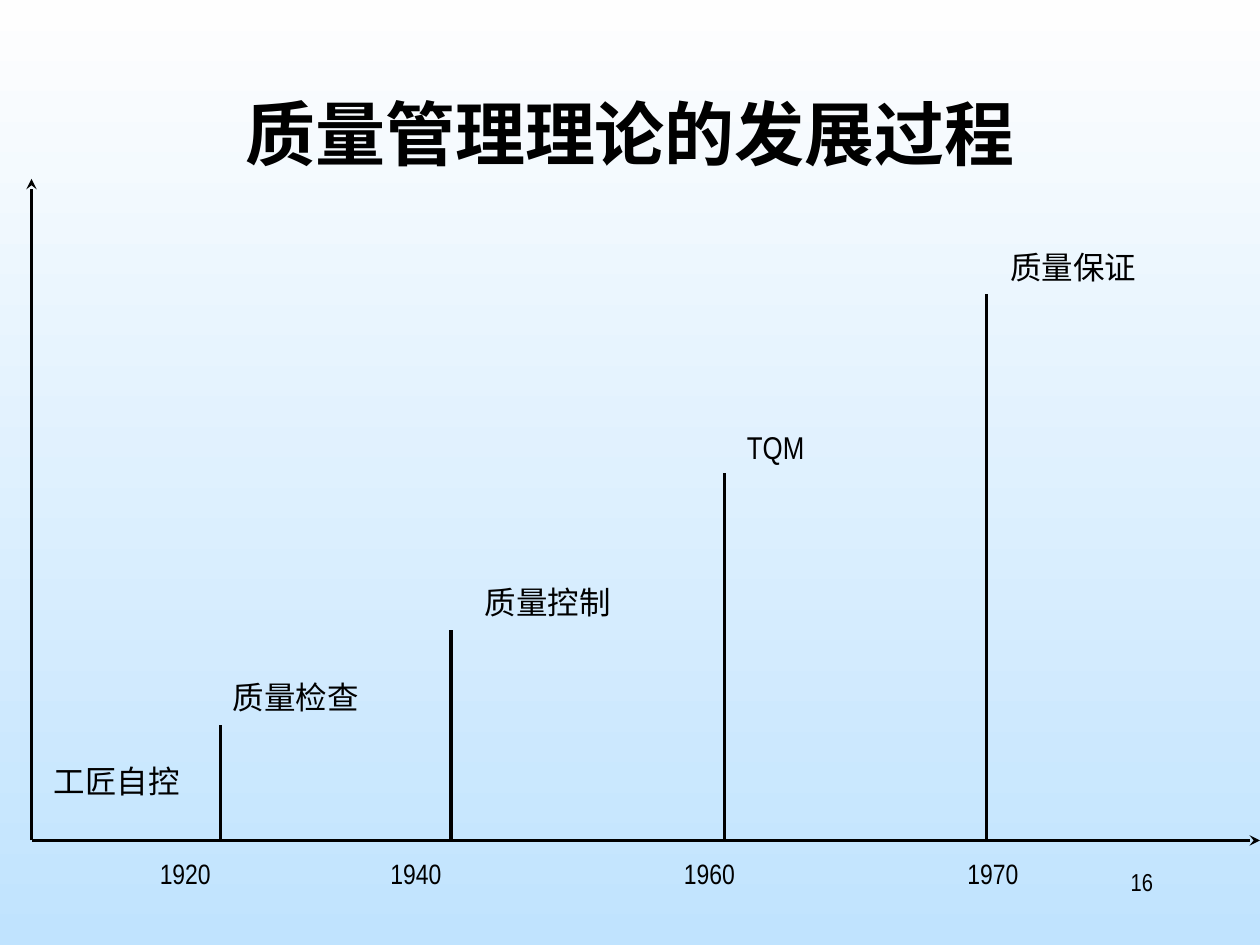
import pptx
import pptx.util
import pptx.dml.color
import pptx.enum.shapes
import pptx.enum.text
import pptx.oxml
import pptx.oxml.ns
from pptx.util import Inches

COLORS = {"ink": "000000", "sky_top": "FEFEFE", "sky_bottom": "C0E3FE"}
FONT = "Arial Narrow"
ORIGIN_X, AXIS_Y = 0.25, 6.67

# Year, left of year label, line x, line top
MILESTONES = [
    ("1920", 1.17, 1.75, 5.75),
    ("1940", 3, 3.58, 5),
    ("1960", 5.33, 5.75, 3.75),
    ("1970", 7.58, 7.83, 2.33),
]
# Stage name, left, top
STAGES = [
    ("工匠自控", 0.33, 6),
    ("质量检查", 1.75, 5.33),
    ("质量控制", 3.75, 4.58),
    ("TQM", 5.83, 3.35),
    ("质量保证", 7.92, 1.92),
]


def color(name):
    return pptx.dml.color.RGBColor.from_string(COLORS[name])


def paint_background(page):
    fill = page.background.fill
    fill.gradient()
    fill.gradient_angle = 270
    for stop, name in zip(fill.gradient_stops, ("sky_top", "sky_bottom")):
        stop.color.rgb = color(name)


def add_line(page, x1, y1, x2, y2, arrow=False):
    line = page.shapes.add_connector(
        pptx.enum.shapes.MSO_CONNECTOR.STRAIGHT,
        Inches(x1), Inches(y1), Inches(x2), Inches(y2))
    line.line.width = pptx.util.Pt(2)
    line.line.color.rgb = color("ink")
    if arrow:
        head = pptx.oxml.parse_xml(
            '<a:tailEnd %s type="stealth"/>' % pptx.oxml.ns.nsdecls("a"))
        line.line._get_or_add_ln().append(head)
    properties = line._element.spPr
    properties.append(pptx.oxml.parse_xml(
        "<a:effectLst %s/>" % pptx.oxml.ns.nsdecls("a")))


def add_text(page, text, left, top, width, height, size,
             align=pptx.enum.text.PP_ALIGN.LEFT, bold=False, before=0):
    box = page.shapes.add_textbox(
        Inches(left), Inches(top), Inches(width), Inches(height))
    box.text_frame.word_wrap = True
    para = box.text_frame.paragraphs[0]
    para.text = text
    para.alignment = align
    para.space_before = pptx.util.Pt(before)
    para.font.name = FONT
    para.font.size = pptx.util.Pt(size)
    para.font.bold = bold
    para.font.color.rgb = color("ink")


def main():
    deck = pptx.Presentation()
    deck.slide_width, deck.slide_height = Inches(10), Inches(7.5)
    page = deck.slides.add_slide(deck.slide_layouts[6])
    paint_background(page)

    # Title
    add_text(page, "质量管理理论的发展过程", 0.75, 0.67, 8.5, 1.25, 40,
             pptx.enum.text.PP_ALIGN.CENTER, bold=True)

    # Axes
    add_line(page, ORIGIN_X, AXIS_Y, 10, AXIS_Y, arrow=True)
    add_line(page, ORIGIN_X, AXIS_Y, ORIGIN_X, 1.42, arrow=True)

    # Milestone lines and years
    for year, left, x, top in MILESTONES:
        add_line(page, x, AXIS_Y, x, top)
        add_text(page, year, left, 6.75, 1.33, 0.37, 16, before=10)

    # Stage names
    for name, left, top in STAGES:
        add_text(page, name, left, top, 1.25, 0.4, 18, before=11.2)

    # Page number
    add_text(page, "16", 7.17, 6.83, 2.08, 0.5, 14,
             pptx.enum.text.PP_ALIGN.RIGHT)

    deck.save("out.pptx")


if __name__ == "__main__":
    main()
